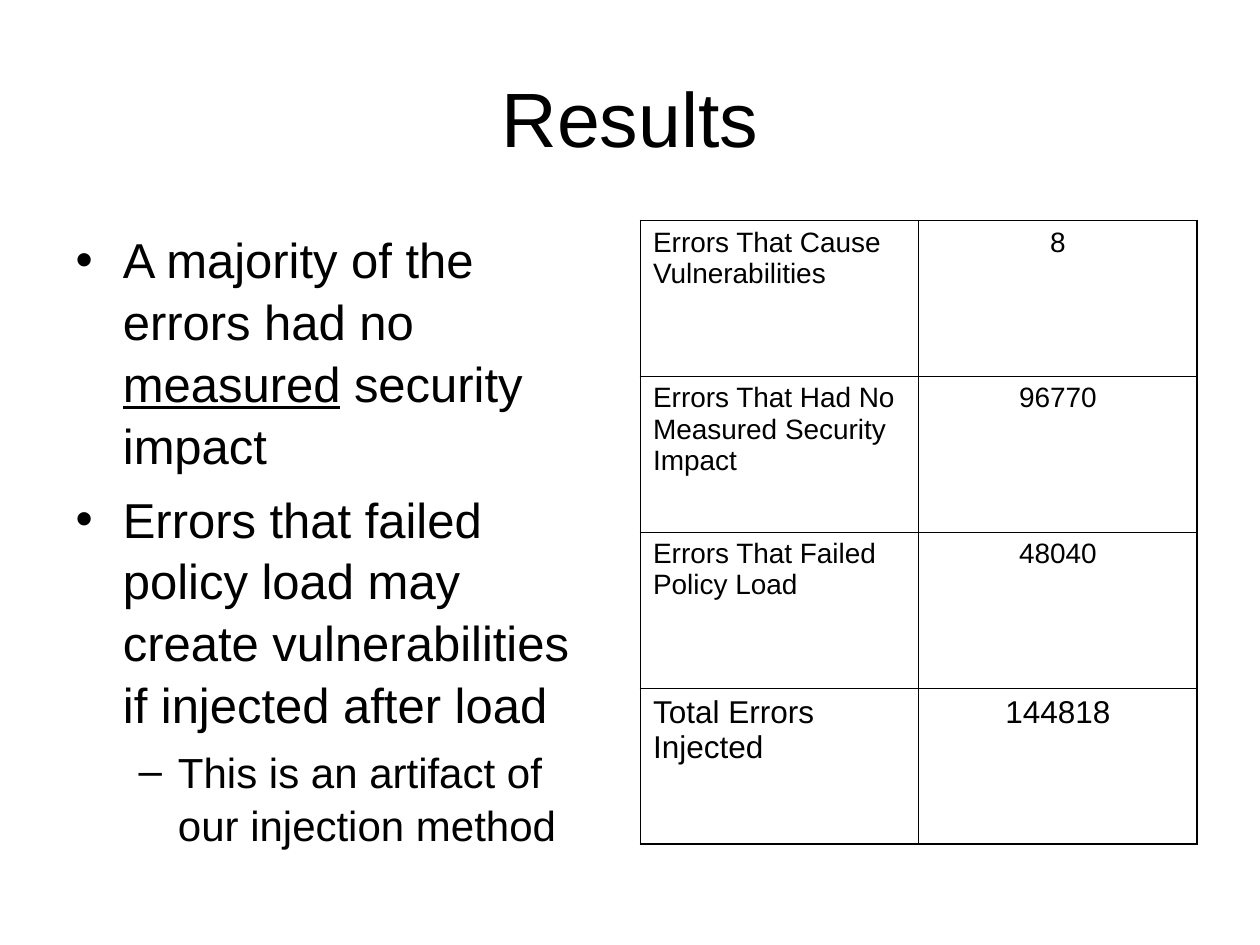
from dataclasses import dataclass

from lxml import etree
from pptx import Presentation
from pptx.dml.color import RGBColor
from pptx.enum.text import MSO_ANCHOR, MSO_AUTO_SIZE, PP_ALIGN
from pptx.oxml.ns import qn
from pptx.util import Pt

LEFT, CENTER = PP_ALIGN.LEFT, PP_ALIGN.CENTER
TOP, MIDDLE = MSO_ANCHOR.TOP, MSO_ANCHOR.MIDDLE
NO_AUTOFIT = MSO_AUTO_SIZE.NONE


@dataclass(frozen=True)
class Theme:
    font: str = "Arial"
    ink: str = "000000"
    title: int = 44
    bullet_sizes: tuple = (28, 24)
    cell: int = 16
    total: int = 18
    outer_line: float = 1.08
    inner_line: float = 0.45


THEME = Theme()
BULLET_STYLES = (("•", 27, -27, 7), ("–", 58.5, -22.5, 6))
BULLETS = (
    (0, (("A majority of the errors had no ", False), ("measured", True), (" security impact", False))),
    (0, (("Errors that failed policy load may create vulnerabilities if injected after load", False),)),
    (1, (("This is an artifact of our injection method", False),)),
)
RESULTS = (
    ("Errors That Cause Vulnerabilities", "8"),
    ("Errors That Had No Measured Security Impact", "96770"),
    ("Errors That Failed Policy Load", "48040"),
    ("Total Errors Injected", "144818"),
)


def format_paragraph(paragraph, size, alignment):
    paragraph.alignment = alignment
    paragraph.font.name = THEME.font
    paragraph.font.size = Pt(size)
    paragraph.font.color.rgb = RGBColor.from_string(THEME.ink)


def place(shape, left, top, width, height, anchor):
    shape.left, shape.top, shape.width, shape.height = map(Pt, (left, top, width, height))
    shape.text_frame.word_wrap = True
    shape.text_frame.auto_size = NO_AUTOFIT
    shape.text_frame.vertical_anchor = anchor


def fill_title(shape, text):
    place(shape, 36, 21.6, 648, 90, MIDDLE)
    shape.text_frame.text = text
    format_paragraph(shape.text_frame.paragraphs[0], THEME.title, CENTER)


def set_bullet(paragraph, character, margin, indent):
    properties = paragraph._p.get_or_add_pPr()
    properties.set("marL", str(Pt(margin)))
    properties.set("indent", str(Pt(indent)))
    etree.SubElement(properties, qn("a:buFont"), typeface=THEME.font)
    etree.SubElement(properties, qn("a:buChar"), char=character)


def fill_bullets(shape, bullets):
    place(shape, 36, 126, 318, 356.4, TOP)
    frame = shape.text_frame
    for index, (level, pieces) in enumerate(bullets):
        paragraph = frame.add_paragraph() if index else frame.paragraphs[0]
        character, margin, indent, space = BULLET_STYLES[level]
        paragraph.level = level
        paragraph.line_spacing = 1.05
        paragraph.space_before = Pt(space if index else 0)
        set_bullet(paragraph, character, margin, indent)
        format_paragraph(paragraph, THEME.bullet_sizes[level], LEFT)
        for text, underlined in pieces:
            run = paragraph.add_run()
            run.text = text
            if underlined:
                run.font.underline = True


def set_borders(cell, outer_sides):
    properties = cell._tc.get_or_add_tcPr()
    for side, is_outer in zip("LRTB", outer_sides):
        width = THEME.outer_line if is_outer else THEME.inner_line
        line = etree.SubElement(properties, qn(f"a:ln{side}"), w=str(Pt(width)))
        fill = etree.SubElement(line, qn("a:solidFill"))
        etree.SubElement(fill, qn("a:srgbClr"), val=THEME.ink)


def add_results_table(slide, rows):
    last_row, last_column = len(rows) - 1, len(rows[0]) - 1
    frame = slide.shapes.add_table(
        len(rows), len(rows[0]), Pt(366), Pt(126), Pt(318), Pt(356.4)
    )
    table = frame.table
    table.first_row = table.horz_banding = False
    for row, values in enumerate(rows):
        size = THEME.total if row == last_row else THEME.cell
        for column, value in enumerate(values):
            cell = table.cell(row, column)
            cell.text = value
            format_paragraph(cell.text_frame.paragraphs[0], size, CENTER if column else LEFT)
            set_borders(cell, (column == 0, column == last_column, row == 0, row == last_row))
            cell.fill.background()


def main():
    presentation = Presentation()
    presentation.slide_width, presentation.slide_height = Pt(720), Pt(540)
    slide = presentation.slides.add_slide(presentation.slide_layouts[1])
    fill_title(slide.shapes.title, "Results")
    fill_bullets(slide.placeholders[1], BULLETS)
    add_results_table(slide, RESULTS)
    presentation.save("out.pptx")


if __name__ == "__main__":
    main()
